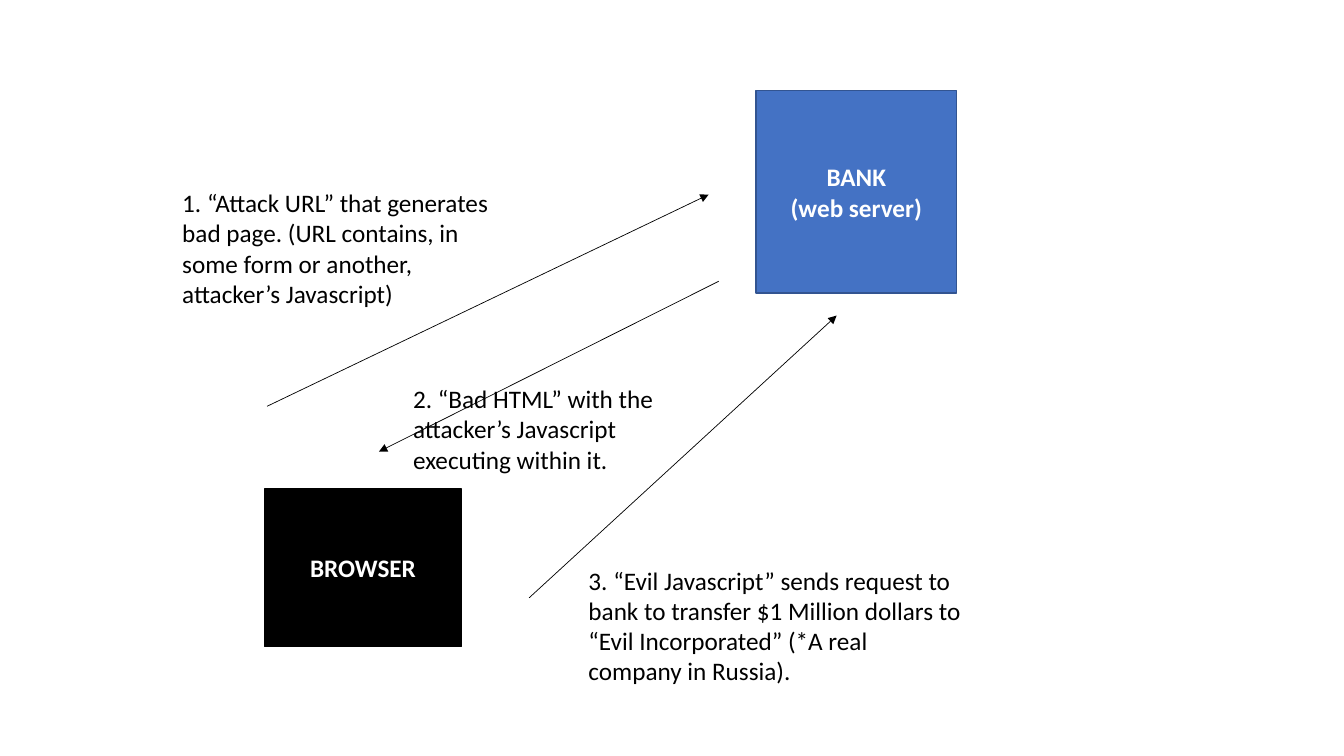
from lxml.etree import SubElement
from pptx import Presentation
from pptx.dml.color import RGBColor
from pptx.enum.shapes import MSO_CONNECTOR, MSO_SHAPE
from pptx.enum.text import MSO_ANCHOR, MSO_AUTO_SIZE, PP_ALIGN
from pptx.oxml.ns import qn
from pptx.util import Pt

COLOURS = {
    "bank": "4472C4",
    "bank_edge": "325491",
    "black": "000000",
    "white": "FFFFFF",
}


def write(frame, lines, colour="black", bold=False, align=PP_ALIGN.LEFT,
          anchor=MSO_ANCHOR.TOP):
    frame.word_wrap = True
    frame.vertical_anchor = anchor
    for index, line in enumerate(lines):
        para = frame.add_paragraph() if index else frame.paragraphs[0]
        para.alignment = align
        span = para.add_run()
        span.text = line
        span.font.name = "Calibri"
        span.font.size = Pt(18)
        span.font.bold = bold
        span.font.color.rgb = RGBColor.from_string(COLOURS[colour])


deck = Presentation()
deck.slide_width, deck.slide_height = Pt(960), Pt(540)
page = deck.slides.add_slide(deck.slide_layouts[6])

# The two parties: place and size, fill, edge, label
parties = [
    ((540, 64.8, 143.5, 144.5), "bank", "bank_edge", ["BANK", "(web server)"]),
    ((188.8, 349.4, 141, 112.3), "black", "black", ["BROWSER"]),
]
for place, fill, edge, label in parties:
    party = page.shapes.add_shape(MSO_SHAPE.RECTANGLE, *map(Pt, place))
    party.shadow.inherit = False
    party.fill.solid()
    party.fill.fore_color.rgb = RGBColor.from_string(COLOURS[fill])
    party.line.color.rgb = RGBColor.from_string(COLOURS[edge])
    party.line.width = Pt(1)
    write(party.text_frame, label, colour="white", bold=True,
          align=PP_ALIGN.CENTER, anchor=MSO_ANCHOR.MIDDLE)

# The attack steps: arrow from start to end, then its caption
steps = [
    ((190.8, 290.2, 506.2, 139), (123.1, 130.3, 249.1, 94.3),
     "1. “Attack URL” that generates bad page. (URL contains, in some form "
     "or another, attacker’s Javascript)"),
    ((513.4, 200.9, 270.7, 322.6), (288, 270.3, 200.9, 72.7),
     "2. “Bad HTML” with the attacker’s Javascript executing within it."),
    ((378, 427, 597.6, 225.4), (413.3, 399.9, 283, 94.3),
     "3. “Evil Javascript” sends request to bank to transfer $1 Million "
     "dollars to “Evil Incorporated” (*A real company in Russia)."),
]
for ends, place, caption in steps:
    arrow = page.shapes.add_connector(MSO_CONNECTOR.STRAIGHT, *map(Pt, ends))
    arrow.line.color.rgb = RGBColor.from_string(COLOURS["black"])
    arrow.line.width = Pt(0.5)
    SubElement(arrow.line._get_or_add_ln(), qn("a:tailEnd"), type="triangle")
    SubElement(arrow._element.spPr, qn("a:effectLst"))

    box = page.shapes.add_textbox(*map(Pt, place))
    write(box.text_frame, [caption])
    box.text_frame.auto_size = MSO_AUTO_SIZE.SHAPE_TO_FIT_TEXT

deck.save("out.pptx")
